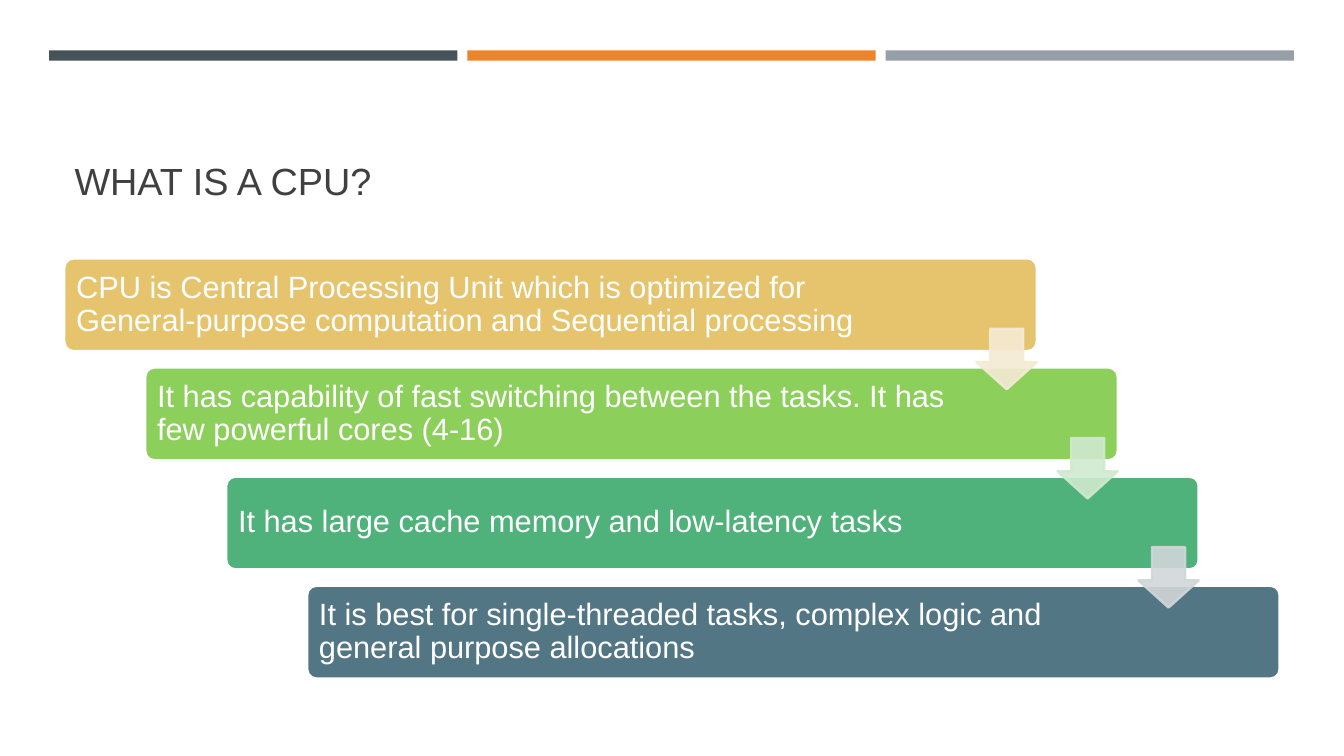
from lxml.etree import SubElement
from pptx import Presentation
from pptx.dml.color import RGBColor
from pptx.enum.shapes import MSO_SHAPE
from pptx.enum.text import MSO_ANCHOR
from pptx.oxml.ns import qn
from pptx.util import Cm, Pt

COLORS = {
    "slate": "465359", "orange": "ED8428", "gray": "969FA7",
    "title": "404040", "white": "FFFFFF",
    "gold": "E6C46D", "lime": "8CCF5B", "green": "4FB27B", "blue": "537685",
    "pale gold": "F5EAD4", "pale green": "D0E9D0", "pale blue": "D1D6D9",
}
FONT = "Arial"
TITLE = "WHAT IS A CPU?"
BARS = ["slate", "orange", "gray"]
STEPS = [
    ("CPU is Central Processing Unit which is optimized for General-purpose computation and Sequential processing", "gold", 21.79),
    ("It has capability of fast switching between the tasks. It has few powerful cores (4-16)", "lime", 20.8),
    ("It has large cache memory and low-latency tasks", "green", 20.8),
    ("It is best for single-threaded tasks, complex logic and general purpose allocations", "blue", 20.8),
]
ARROWS = ["pale gold", "pale green", "pale blue"]

BAR_LEFT, BAR_TOP, BAR_WIDTH, BAR_HEIGHT, BAR_PITCH = 1.24, 1.27, 10.29, 0.26, 10.54
STEP_LEFT, STEP_TOP, STEP_WIDTH, STEP_HEIGHT = 1.62, 6.51, 24.51, 2.34
STEP_RIGHT, STEP_DOWN = 2.04, 2.75
TEXT_OFFSET = 0.07
ARROW_SIZE, ARROW_RIGHT, ARROW_DOWN = 1.52, 22.99, 1.78


def color(name):
    return RGBColor.from_string(COLORS[name])


def add_block(slide, kind, box, fill, line=None, adjustments=()):
    shape = slide.shapes.add_shape(kind, *map(Cm, box))
    shape.shadow.inherit = False
    shape.fill.solid()
    shape.fill.fore_color.rgb = color(fill)
    if line:
        shape.line.color.rgb = color(line)
        shape.line.width = Pt(1.75)
    else:
        shape.line.fill.background()
    for index, value in enumerate(adjustments):
        shape.adjustments[index] = value
    return shape


def make_translucent(shape, percent):
    for fill_color in shape.element.spPr.iter(qn("a:srgbClr")):
        SubElement(fill_color, qn("a:alpha"), val=str(percent * 1000))


def add_text(slide, box, text, size, ink, anchor, margin):
    frame = slide.shapes.add_textbox(*map(Cm, box)).text_frame
    frame.word_wrap = True
    frame.vertical_anchor = anchor
    frame.margin_left = frame.margin_right = Cm(margin)
    paragraph = frame.paragraphs[0]
    paragraph.line_spacing = 0.9
    run = paragraph.add_run()
    run.text = text
    run.font.name = FONT
    run.font.size = Pt(size)
    run.font.color.rgb = color(ink)


def main():
    presentation = Presentation()
    presentation.slide_width, presentation.slide_height = Cm(33.87), Cm(19.05)
    slide = presentation.slides.add_slide(presentation.slide_layouts[6])

    for index, fill in enumerate(BARS):
        box = (BAR_LEFT + index * BAR_PITCH, BAR_TOP, BAR_WIDTH, BAR_HEIGHT)
        add_block(slide, MSO_SHAPE.RECTANGLE, box, fill)

    add_text(slide, (1.63, 1.96, 30.63, 3.3), TITLE, 27, "title", MSO_ANCHOR.BOTTOM, 0.25)

    for index, (text, fill, text_width) in enumerate(STEPS):
        left, top = STEP_LEFT + index * STEP_RIGHT, STEP_TOP + index * STEP_DOWN
        add_block(slide, MSO_SHAPE.ROUNDED_RECTANGLE,
                  (left, top, STEP_WIDTH, STEP_HEIGHT), fill, "white", [0.1])
        text_box = (left + TEXT_OFFSET, top + TEXT_OFFSET,
                    text_width, STEP_HEIGHT - 2 * TEXT_OFFSET)
        add_text(slide, text_box, text, 22, "white", MSO_ANCHOR.MIDDLE, 0.23)

    for index, fill in enumerate(ARROWS):
        box = (STEP_LEFT + ARROW_RIGHT + index * STEP_RIGHT,
               STEP_TOP + ARROW_DOWN + index * STEP_DOWN, ARROW_SIZE, ARROW_SIZE)
        arrow = add_block(slide, MSO_SHAPE.DOWN_ARROW, box, fill, fill, [0.55, 0.45])
        make_translucent(arrow, 90)

    presentation.save("out.pptx")


if __name__ == "__main__":
    main()
